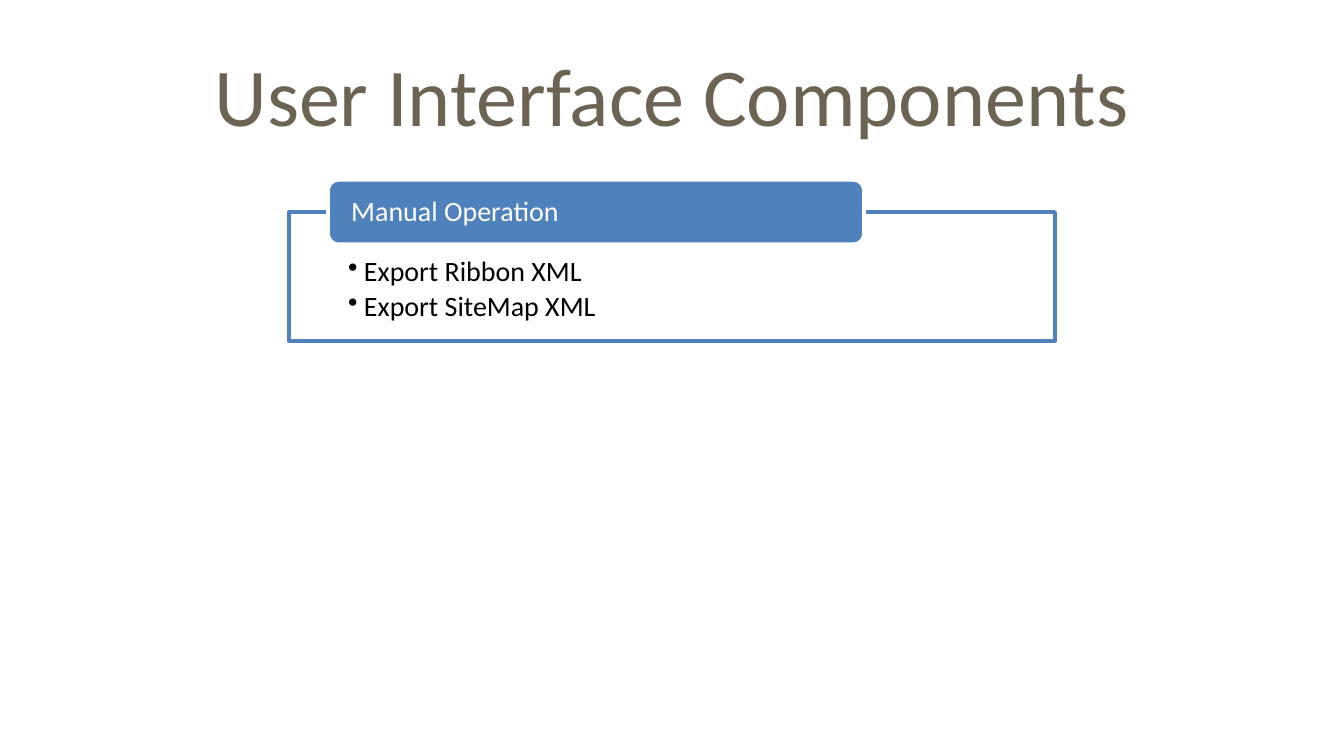
from dataclasses import dataclass, field

import pptx
import pptx.dml.color
import pptx.enum.shapes
import pptx.enum.text
import pptx.oxml.ns
import pptx.util
from lxml import etree

Cm = pptx.util.Cm
Pt = pptx.util.Pt
ANCHOR = pptx.enum.text.MSO_ANCHOR
ALIGN = pptx.enum.text.PP_ALIGN
SHAPE = pptx.enum.shapes.MSO_SHAPE
qn = pptx.oxml.ns.qn

BLUE, WHITE, BLACK, BROWN = "4F81BD", "FFFFFF", "000000", "6C6352"


@dataclass
class Panel:
    kind: int
    box: tuple[float, float, float, float]
    fill: str
    line: str
    color: str
    lines: list[str]
    insets: tuple[float, float, float, float]
    space_after: float
    anchor: int = ANCHOR.TOP
    bulleted: bool = False
    opacity: int = 100
    format: dict = field(default_factory=lambda: {"name": "Calibri", "size": Pt(15)})


def rgb(value: str) -> pptx.dml.color.RGBColor:
    return pptx.dml.color.RGBColor.from_string(value)


def set_all(target, values: dict) -> None:
    for name, value in values.items():
        setattr(target, name, value)


def place(sp, box: tuple) -> None:
    set_all(sp, dict(zip(("left", "top", "width", "height"), map(Cm, box))))


def add_bullet(p) -> None:
    pPr = p._p.get_or_add_pPr()
    pPr.set("marL", str(Cm(0.3)))
    pPr.set("indent", str(-Cm(0.3)))
    etree.SubElement(pPr, qn("a:buChar")).set("char", "•")


def draw_panel(s, panel: Panel) -> None:
    sp = s.shapes.add_shape(panel.kind, *map(Cm, panel.box))
    sp.shadow.inherit = False
    sp.fill.solid()
    sp.fill.fore_color.rgb = rgb(panel.fill)
    if panel.opacity < 100:
        color = sp._element.spPr.find(qn("a:solidFill")).find(qn("a:srgbClr"))
        etree.SubElement(color, qn("a:alpha")).set("val", str(panel.opacity * 1000))
    sp.line.color.rgb = rgb(panel.line)
    sp.line.width = Pt(2)
    tf = sp.text_frame
    sides = ("margin_left", "margin_top", "margin_right", "margin_bottom")
    set_all(tf, dict(zip(sides, map(Cm, panel.insets))))
    set_all(tf, {"word_wrap": True, "vertical_anchor": panel.anchor})
    for i, text in enumerate(panel.lines):
        p = tf.add_paragraph() if i else tf.paragraphs[0]
        set_all(p, {"alignment": ALIGN.LEFT, "line_spacing": 0.9,
                    "space_after": Pt(panel.space_after)})
        if panel.bulleted:
            add_bullet(p)
        r = p.add_run()
        r.text = text
        set_all(r.font, panel.format)
        r.font.color.rgb = rgb(panel.color)


def draw_title(s, text: str) -> None:
    sp = s.shapes.title
    place(sp, (1.27, 0.58, 22.86, 2.39))
    tf = sp.text_frame
    tf.vertical_anchor = ANCHOR.MIDDLE
    p = tf.paragraphs[0]
    p.alignment = ALIGN.CENTER
    r = p.add_run()
    r.text = text
    set_all(r.font, {"name": "Calibri", "size": Pt(44)})
    r.font.color.rgb = rgb(BROWN)


PANELS = [
    Panel(SHAPE.RECTANGLE, (5.46, 4.01, 14.48, 2.44), WHITE, BLUE, BLACK,
          ["Export Ribbon XML", "Export SiteMap XML"], (1.12, 0.86, 1.12, 0.3),
          2.25, bulleted=True, opacity=90),
    Panel(SHAPE.ROUNDED_RECTANGLE, (6.2, 3.4, 10.13, 1.22), BLUE, WHITE, WHITE,
          ["Manual Operation"], (0.38, 0, 0.38, 0), 0, anchor=ANCHOR.MIDDLE),
]


def main() -> None:
    prs = pptx.Presentation()
    set_all(prs, {"slide_width": Cm(25.4), "slide_height": Cm(14.29)})
    s = prs.slides.add_slide(prs.slide_layouts[5])
    draw_title(s, "User Interface Components")
    for panel in PANELS:
        draw_panel(s, panel)
    prs.save("out.pptx")


if __name__ == "__main__":
    main()
